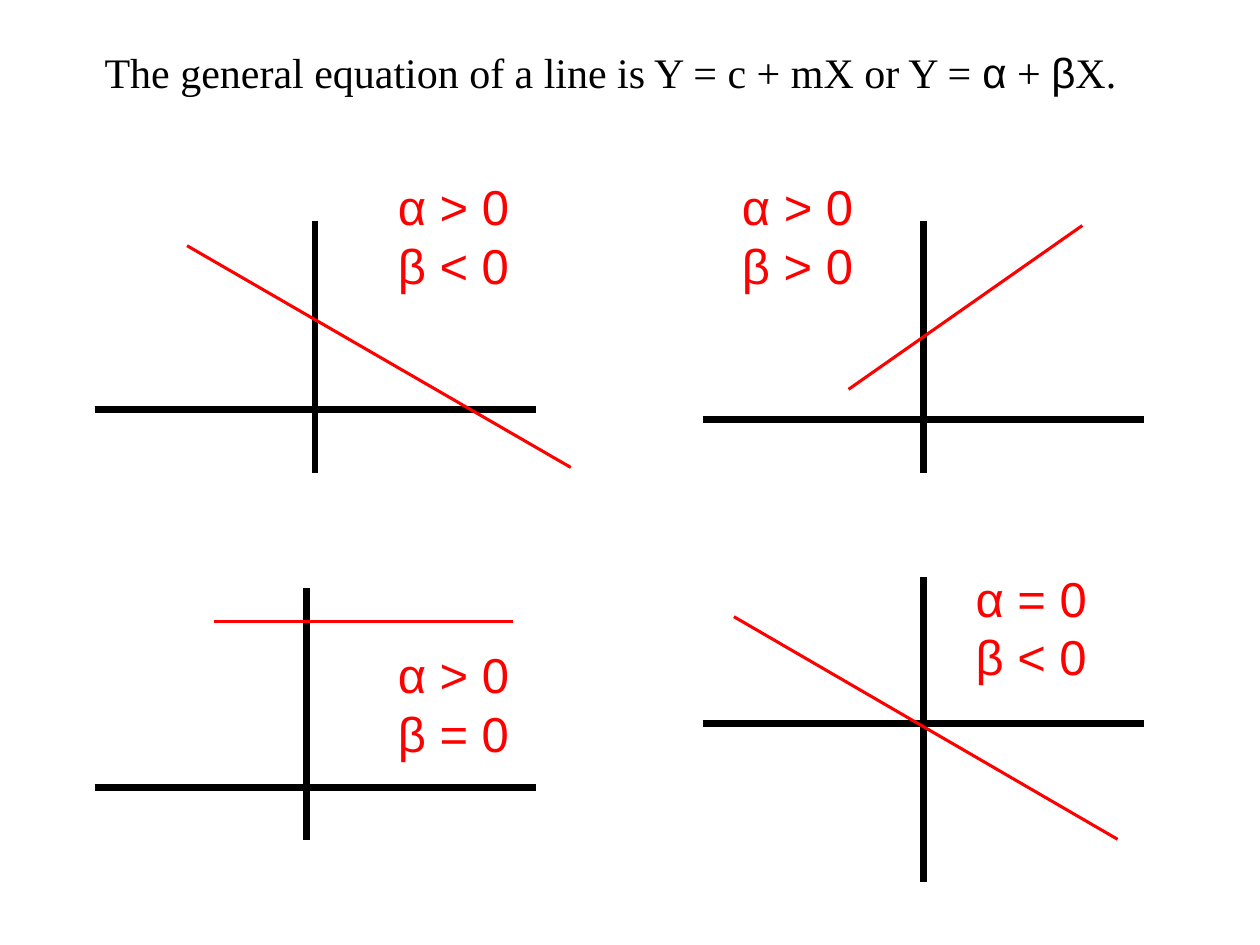
from collections import namedtuple

from lxml.etree import SubElement
from pptx import Presentation
from pptx.dml.color import RGBColor
from pptx.enum.shapes import MSO_CONNECTOR
from pptx.enum.text import MSO_ANCHOR, MSO_AUTO_SIZE, PP_ALIGN
from pptx.oxml.ns import qn
from pptx.util import Inches, Pt

BLACK = RGBColor(0, 0, 0)
RED = RGBColor(255, 0, 0)
SERIF = "Times New Roman"
SANS = "Arial"

Box = namedtuple("Box", "left top width height")
Graph = namedtuple("Graph", "box origin start end label_at label")

GRAPHS = [
    Graph(Box(0.75, 1.75, 3.5, 2), (0.5, 0.75), (0.21, 0.1), (1.08, 0.98),
          (0.66, -0.2), "α > 0\nβ < 0"),
    Graph(Box(5.58, 1.75, 3.5, 2), (0.5, 0.79), (0.33, 0.67), (0.86, 0.02),
          (0.06, -0.2), "α > 0\nβ > 0"),
    Graph(Box(0.75, 4.67, 3.5, 2), (0.48, 0.79), (0.27, 0.13), (0.95, 0.13),
          (0.66, 0.2), "α > 0\nβ = 0"),
    Graph(Box(5.58, 4.58, 3.5, 2.42), (0.5, 0.48), (0.07, 0.13), (0.94, 0.86),
          (0.59, -0.05), "α = 0\nβ < 0"),
]


def point_in(box, share):
    across, down = share
    return (Inches(box.left + across * box.width),
            Inches(box.top + down * box.height))


def add_line(page, box, start, end, color, weight):
    line = page.shapes.add_connector(
        MSO_CONNECTOR.STRAIGHT, *point_in(box, start), *point_in(box, end))
    line.line.color.rgb = color
    line.line.width = Pt(weight)
    SubElement(line.element.spPr, qn("a:effectLst"))


def format_font(font, name, size, color):
    font.name = name
    font.size = Pt(size)
    font.color.rgb = color


def add_title(page, box):
    title = page.shapes.title
    title.left, title.top, title.width, title.height = map(Inches, box)
    frame = title.text_frame
    frame.word_wrap = False
    frame.auto_size = MSO_AUTO_SIZE.NONE
    frame.vertical_anchor = MSO_ANCHOR.TOP
    para = frame.paragraphs[0]
    para.alignment = PP_ALIGN.LEFT
    pieces = [
        ("The general equation of a line is Y = c + mX or Y = ", SERIF),
        ("α", SANS), (" + ", SERIF), ("β", SANS), ("X.", SERIF),
    ]
    for text, name in pieces:
        span = para.add_run()
        span.text = text
        format_font(span.font, name, 24, BLACK)


def add_graph(page, graph):
    box = graph.box
    across, down = graph.origin
    add_line(page, box, (across, 0), (across, 1), BLACK, 4)
    add_line(page, box, (0, down), (1, down), BLACK, 4)
    add_line(page, box, graph.start, graph.end, RED, 1.75)

    label = page.shapes.add_textbox(
        *point_in(box, graph.label_at), Inches(1.1), Inches(1.04))
    frame = label.text_frame
    frame.word_wrap = False
    frame.text = graph.label
    for para in frame.paragraphs:
        for span in para.runs:
            format_font(span.font, SANS, 28, RED)


def main():
    deck = Presentation()
    deck.slide_width, deck.slide_height = Inches(10), Inches(7.5)
    page = deck.slides.add_slide(deck.slide_layouts.get_by_name("Title Only"))
    add_title(page, Box(0.73, 0.32, 8.29, 0.5))
    for graph in GRAPHS:
        add_graph(page, graph)
    deck.save("out.pptx")


if __name__ == "__main__":
    main()
